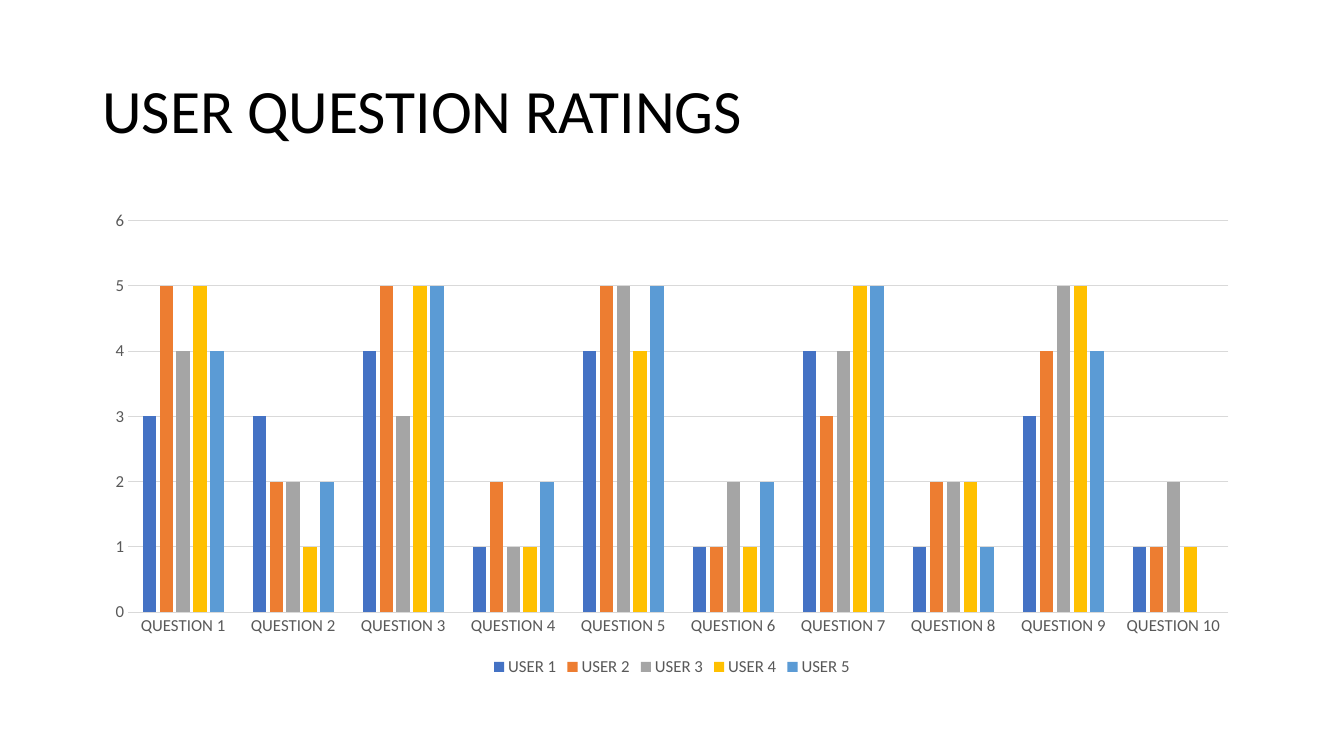
from pptx import Presentation
from pptx.chart.data import CategoryChartData as Data
from pptx.dml.color import RGBColor
from pptx.enum.chart import XL_CHART_TYPE as Kind
from pptx.enum.chart import XL_LEGEND_POSITION as Side
from pptx.enum.chart import XL_TICK_MARK as Tick
from pptx.enum.text import MSO_ANCHOR as Anchor
from pptx.util import Pt

TITLE = "USER QUESTION RATINGS"
FACE = "Calibri"
BLACK = RGBColor(0x00, 0x00, 0x00)
GRAY = RGBColor(0x59, 0x59, 0x59)
PALE = RGBColor(0xD9, 0xD9, 0xD9)
USERS = [
    ("USER 1", RGBColor(0x44, 0x72, 0xC4), (3, 3, 4, 1, 4, 1, 4, 1, 3, 1)),
    ("USER 2", RGBColor(0xED, 0x7D, 0x31), (5, 2, 5, 2, 5, 1, 3, 2, 4, 1)),
    ("USER 3", RGBColor(0xA5, 0xA5, 0xA5), (4, 2, 3, 1, 5, 2, 4, 2, 5, 2)),
    ("USER 4", RGBColor(0xFF, 0xC0, 0x00), (5, 1, 5, 1, 4, 1, 5, 2, 5, 1)),
    ("USER 5", RGBColor(0x5B, 0x9B, 0xD5), (4, 2, 5, 2, 5, 2, 5, 1, 4, None)),
]
LEFT, WIDTH = Pt(66), Pt(828)


def style(font, size, color):
    font.name = FACE
    font.size = Pt(size)
    font.color.rgb = color


def rule(line):
    line.color.rgb = PALE
    line.width = Pt(0.75)


def add_title(slide):
    frame = slide.shapes.add_textbox(LEFT, Pt(28.75), WIDTH, Pt(104.4)).text_frame
    frame.word_wrap = True
    frame.vertical_anchor = Anchor.MIDDLE
    para = frame.paragraphs[0]
    para.text = TITLE
    para.line_spacing = 0.9
    style(para.font, 44, BLACK)


def add_ratings(slide):
    data = Data()
    data.categories = [f"QUESTION {n}" for n in range(1, 11)]
    for name, _, marks in USERS:
        data.add_series(name, marks)
    chart = slide.shapes.add_chart(
        Kind.COLUMN_CLUSTERED, LEFT, Pt(143.75), WIDTH, Pt(342.6), data
    ).chart
    style(chart.font, 12, GRAY)
    chart.has_title = False

    plot = chart.plots[0]
    plot.gap_width = 219
    plot.overlap = -27
    plot.vary_by_categories = False
    for bars, (_, color, _) in zip(plot.series, USERS):
        bars.format.fill.solid()
        bars.format.fill.fore_color.rgb = color
        bars.invert_if_negative = False

    across, up = chart.category_axis, chart.value_axis
    for axis in (across, up):
        axis.major_tick_mark = axis.minor_tick_mark = Tick.NONE
        style(axis.tick_labels.font, 12, GRAY)
    rule(across.format.line)
    up.format.line.fill.background()
    up.has_major_gridlines = True
    rule(up.major_gridlines.format.line)

    chart.has_legend = True
    chart.legend.position = Side.BOTTOM
    chart.legend.include_in_layout = False
    style(chart.legend.font, 12, GRAY)


def main():
    deck = Presentation()
    deck.slide_width, deck.slide_height = Pt(960), Pt(540)
    slide = deck.slides.add_slide(deck.slide_layouts[6])
    add_title(slide)
    add_ratings(slide)
    deck.save("out.pptx")


if __name__ == "__main__":
    main()
